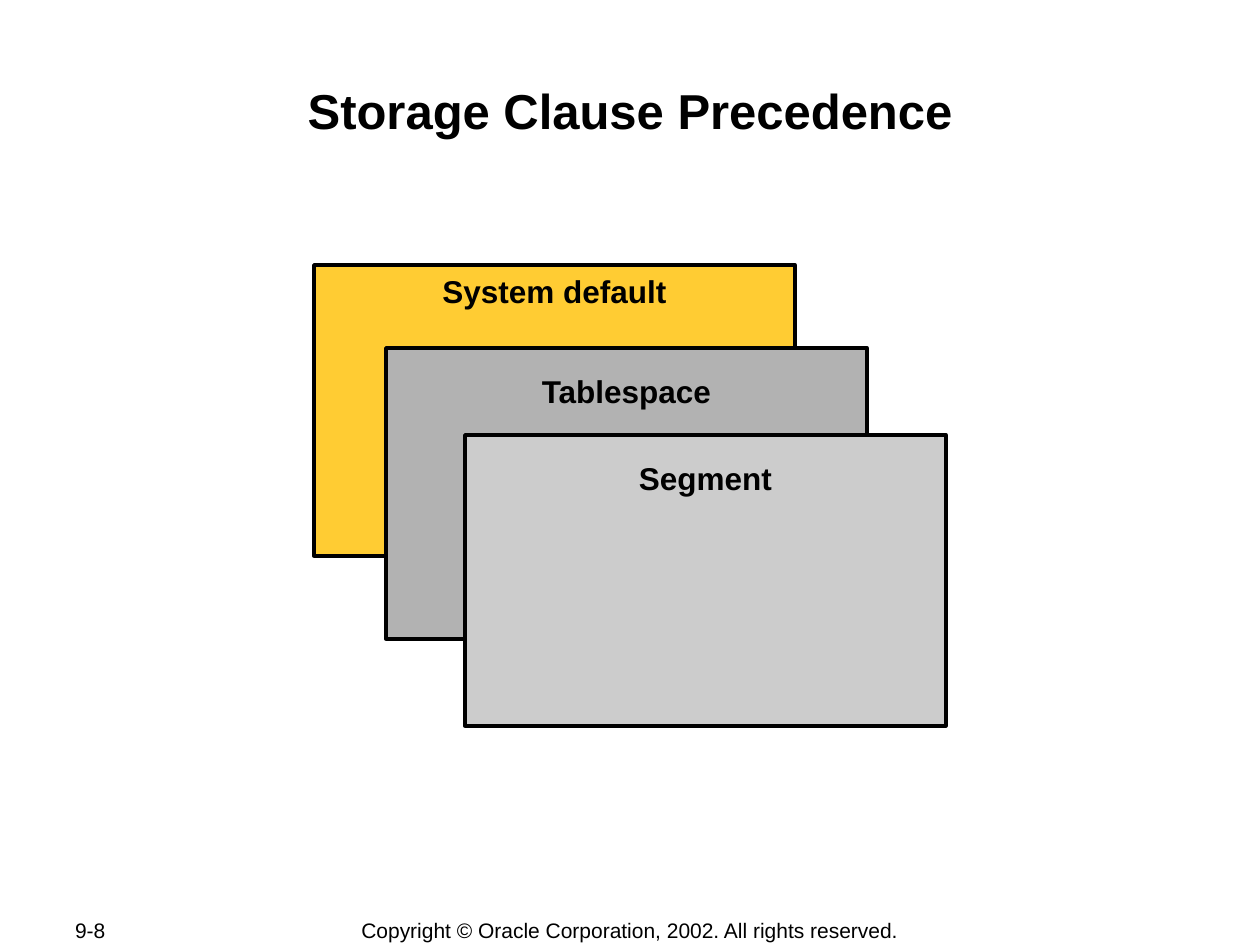
from pptx import Presentation
from pptx.dml.color import RGBColor
from pptx.enum.shapes import MSO_SHAPE
from pptx.enum.text import MSO_ANCHOR, PP_ALIGN
from pptx.util import Emu, Pt

PIXELS_PER_INCH = 126
CARD_WIDTH, CARD_HEIGHT = 481, 291
CARDS = [
    ("System default", "FFCC33", 0, 0, 7),
    ("Tablespace", "B2B2B2", 72, 83, 24),
    ("Segment", "CCCCCC", 151, 170, 24),
]


def px(length):
    """Turn pixels into EMU."""
    return Emu(round(length * 914400 / PIXELS_PER_INCH))


def color(value):
    """Turn a hex string into a colour."""
    return RGBColor.from_string(value)


def place(shape, left, top, width, height):
    """Move and size a shape."""
    shape.left, shape.top = px(left), px(top)
    shape.width, shape.height = px(width), px(height)


def write(shape, text, size=18, bold=True, align=PP_ALIGN.CENTER,
          anchor=MSO_ANCHOR.TOP, side=6, top=6, bottom=6):
    """Put one formatted line of text into a shape."""
    frame = shape.text_frame
    frame.word_wrap = True
    frame.vertical_anchor = anchor
    frame.margin_left = frame.margin_right = px(side)
    frame.margin_top, frame.margin_bottom = px(top), px(bottom)
    paragraph = frame.paragraphs[0]
    paragraph.text = text
    paragraph.alignment = align
    paragraph.space_before = Pt(0)
    font = paragraph.runs[0].font
    font.name, font.size, font.bold = "Arial", Pt(size), bold
    font.color.rgb = color("000000")


def add_title(slide, left, top, width, height):
    """Fill the title placeholder."""
    title = slide.shapes.title
    place(title, left, top, width, height)
    write(title, "Storage Clause Precedence", size=28, side=1, top=7, bottom=1)


def add_cards(slide, left, top):
    """Stack the overlapping cards from lowest to highest precedence."""
    for label, fill, across, down, inset in CARDS:
        card = slide.shapes.add_shape(MSO_SHAPE.RECTANGLE, 0, 0, 0, 0)
        place(card, left + across, top + down, CARD_WIDTH, CARD_HEIGHT)
        card.shadow.inherit = False
        card.fill.solid()
        card.fill.fore_color.rgb = color(fill)
        card.line.color.rgb = color("000000")
        card.line.width = Pt(2)
        write(card, label, top=inset)


def add_footer(slide, left, top, height):
    """Add the page number and the copyright line."""
    for text, across, width, align in [
        ("9-8", 0, 134, PP_ALIGN.LEFT),
        ("Copyright © Oracle Corporation, 2002. All rights reserved.",
         284, 566, PP_ALIGN.CENTER),
    ]:
        box = slide.shapes.add_textbox(0, 0, 0, 0)
        place(box, left + across, top, width, height)
        write(box, text, size=12, bold=False, align=align,
              anchor=MSO_ANCHOR.MIDDLE, side=12)


def main():
    """Build and save the presentation."""
    presentation = Presentation()
    presentation.slide_width, presentation.slide_height = px(1260), px(945)
    slide = presentation.slides.add_slide(presentation.slide_layouts[5])
    add_footer(slide, 63, 917, 26)
    add_title(slide, 126, 73, 1008, 121)
    add_cards(slide, 314, 265)
    presentation.save("out.pptx")


if __name__ == "__main__":
    main()
